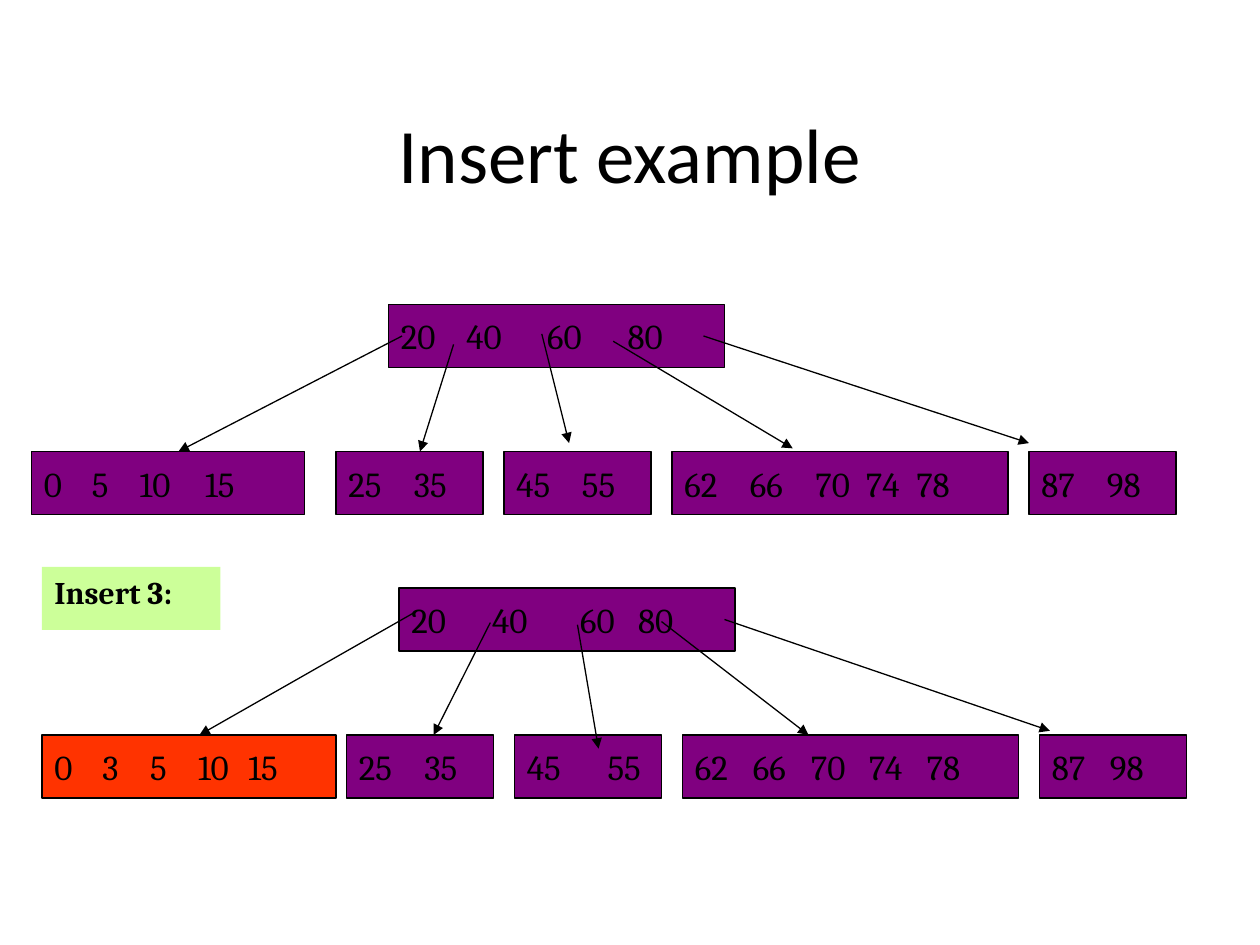
from pptx import Presentation
from pptx.dml.color import RGBColor
from pptx.enum.shapes import MSO_CONNECTOR, MSO_SHAPE
from pptx.enum.text import MSO_ANCHOR, PP_ALIGN
from pptx.oxml.ns import qn
from pptx.util import Inches, Pt
from lxml import etree

STRAIGHT = MSO_CONNECTOR.STRAIGHT
RECTANGLE = MSO_SHAPE.RECTANGLE
TOP, MIDDLE = MSO_ANCHOR.TOP, MSO_ANCHOR.MIDDLE
LEFT, CENTER = PP_ALIGN.LEFT, PP_ALIGN.CENTER

BLACK, PURPLE, RED, GREEN = "000000", "800080", "FF3300", "CCFF99"
COLUMNS, ROWS = 120, 90
NODE_HEIGHT = 6
DIGIT, SPACE = 0.14, 0.06  # advance widths of the key text, in inches

TITLE_FONT = {"name": "Calibri", "size": Pt(44), "bold": False}
KEY_FONT = {"name": "Cambria", "size": Pt(20), "bold": False}
LABEL_FONT = {"name": "Cambria", "size": Pt(18), "bold": True}


def color(hex_string):
    return RGBColor.from_string(hex_string)


class TreeSlide:
    def __init__(self, prs):
        self.slide = prs.slides.add_slide(prs.slide_layouts[5])
        self.column = prs.slide_width / COLUMNS
        self.row = prs.slide_height / ROWS

    def place(self, x, y):
        return round(x * self.column), round(y * self.row)

    def set_text(self, shape, text, font, anchor=MIDDLE, align=LEFT, stops=()):
        frame = shape.text_frame
        frame.word_wrap = True
        frame.vertical_anchor = anchor
        frame.text = text
        paragraph = frame.paragraphs[0]
        paragraph.alignment = align
        if stops:
            tabs = etree.SubElement(paragraph._p.get_or_add_pPr(), qn("a:tabLst"))
            for stop in stops:
                etree.SubElement(tabs, qn("a:tab"), pos=str(Inches(stop)), algn="l")
        run_font = paragraph.runs[0].font
        for name, value in font.items():
            setattr(run_font, name, value)
        run_font.color.rgb = color(BLACK)

    def title(self, text, x, y, width, height):
        title = self.slide.shapes.title
        title.left, title.top = self.place(x, y)
        title.width, title.height = self.place(width, height)
        self.set_text(title, text, TITLE_FONT, align=CENTER)

    def box(self, x, y, width, fill, outlined=True):
        box = self.slide.shapes.add_shape(
            RECTANGLE, *self.place(x, y), *self.place(width, NODE_HEIGHT))
        box.shadow.inherit = False
        box.fill.solid()
        box.fill.fore_color.rgb = color(fill)
        if outlined:
            box.line.color.rgb = color(BLACK)
            box.line.width = Pt(0.75)
        else:
            box.line.fill.background()
        return box

    def node(self, x, y, width, keys, gaps, fill=PURPLE):
        """Draw a node; gaps are the distances between keys, in spaces."""
        stops, position = [], 0
        for key, gap in zip(keys, gaps):
            position += len(str(key)) * DIGIT + gap * SPACE
            stops.append(round(position, 2))
        text = "\t".join(map(str, keys))
        self.set_text(self.box(x, y, width, fill), text, KEY_FONT, stops=stops)

    def label(self, text, x, y, width):
        label = self.box(x, y, width, GREEN, outlined=False)
        self.set_text(label, text, LABEL_FONT, anchor=TOP)

    def arrow(self, start, end):
        arrow = self.slide.shapes.add_connector(
            STRAIGHT, *self.place(*start), *self.place(*end))
        arrow.line.color.rgb = color(BLACK)
        arrow.line.width = Pt(0.75)
        properties = arrow._element.spPr
        etree.SubElement(properties.find(qn("a:ln")), qn("a:tailEnd"), type="triangle")
        etree.SubElement(properties, qn("a:effectLst"))

    def tree(self, x, y, root, leaves, pointers):
        """Draw a root over its leaves, all placed from the corner x, y."""
        self.node(x + 34, y, 32, *root)
        for left, width, *content in leaves:
            self.node(x + left, y + 14, width, *content)
        for pointer in pointers:
            self.arrow(*[(x + px, y + py) for px, py in pointer])


def main():
    prs = Presentation()
    prs.slide_width, prs.slide_height = Inches(10), Inches(7.5)
    page = TreeSlide(prs)
    page.title("Insert example", 9, 7, 102, 15)

    # Tree before the insertion
    page.tree(
        3, 29, ((20, 40, 60, 80), (4, 6, 6)),
        [(0, 26, (0, 5, 10, 15), (4, 4, 4)),
         (29, 14, (25, 35), (4,)),
         (45, 14, (45, 55), (4,)),
         (61, 32, (62, 66, 70, 74, 78), (4, 4, 2, 2)),
         (95, 14, (87, 98), (4,))],
        [((35.3, 3), (14, 14)),
         ((40.2, 3.8), (37, 14)),
         ((48.6, 2.8), (51.2, 13.2)),
         ((55.4, 3.5), (72.5, 13.7)),
         ((64, 3), (95, 13.2))])

    # Tree after the insertion, with the changed leaf in red
    page.label("Insert 3:", 4, 54, 17)
    page.tree(
        4, 56, ((20, 40, 60, 80), (6, 7, 3)),
        [(0, 28, (0, 3, 5, 10, 15), (4, 4, 4, 2), RED),
         (29, 14, (25, 35), (4,)),
         (45, 14, (45, 55), (6,)),
         (61, 32, (62, 66, 70, 74, 78), (3, 3, 3, 3)),
         (95, 14, (87, 98), (3,))],
        [((35.7, 2.2), (15, 14)),
         ((42.7, 3.3), (37.3, 14)),
         ((51, 3.5), (53, 15.3)),
         ((59, 3.2), (73, 14)),
         ((65, 3), (96, 13.6))])

    prs.save("out.pptx")


if __name__ == "__main__":
    main()
